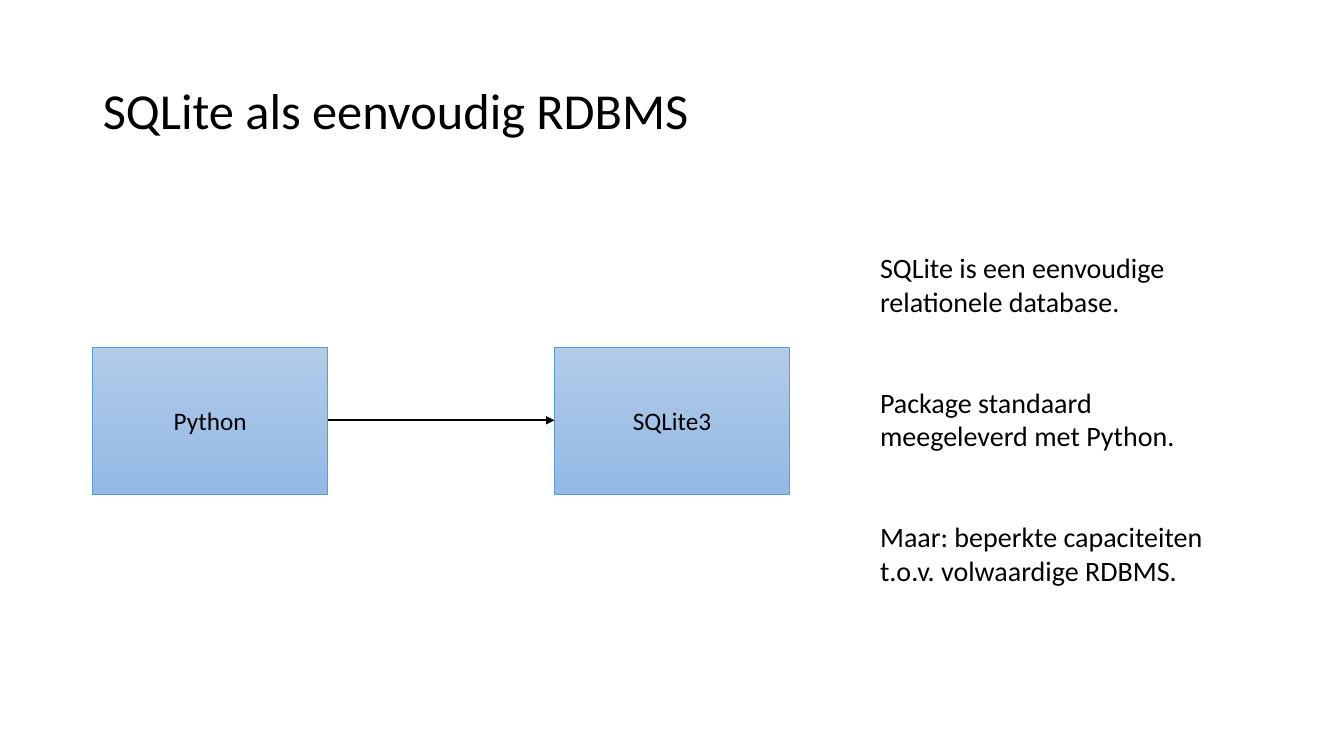
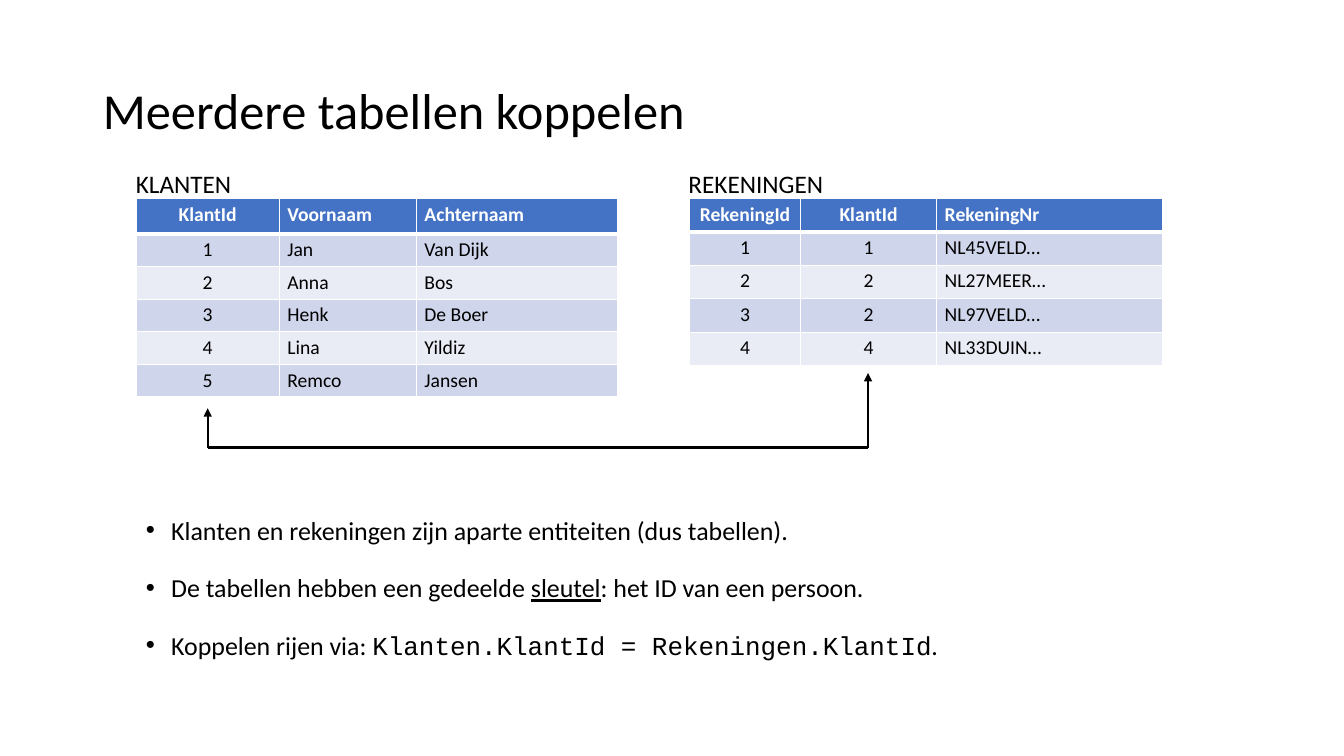
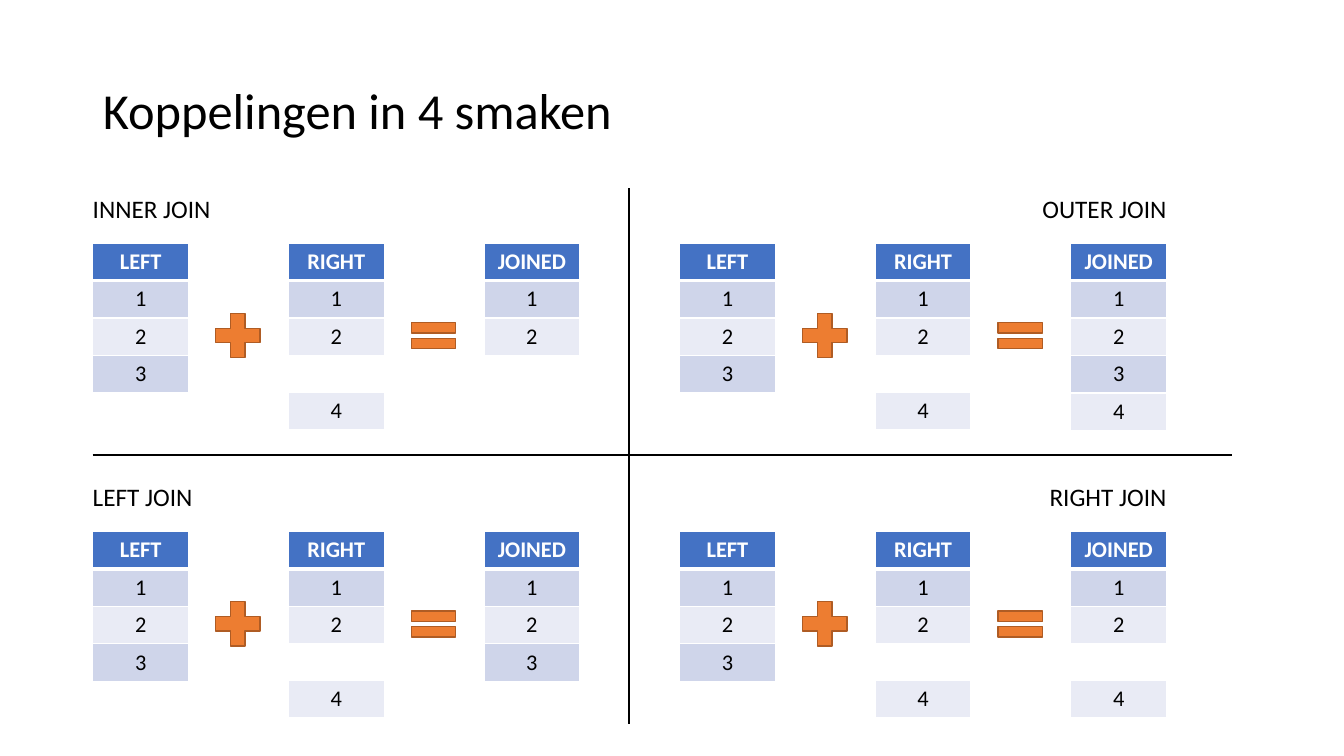
from lxml.etree import SubElement
from pptx import Presentation
from pptx.dml.color import RGBColor
from pptx.enum.shapes import MSO_CONNECTOR as Connector, MSO_SHAPE as Shape
from pptx.enum.text import MSO_ANCHOR as Anchor, MSO_AUTO_SIZE as AutoSize, PP_ALIGN as Align
from pptx.oxml import parse_xml
from pptx.oxml.ns import nsdecls, qn
from pptx.util import Inches, Pt

COLORS = {
    "text": "000000",
    "white": "FFFFFF",
    "header": "4472C4",
    "odd": "CFD5EA",
    "even": "E9EBF5",
    "box_top": "B1CBE9",
    "box_bottom": "93B9E4",
    "box_line": "5B9BD5",
    "operator": "ED7D31",
    "operator_line": "AF5C24",
}
BODY_FONT = "Calibri"
CODE_FONT = "Courier New"


def rgb(name):
    return RGBColor.from_string(COLORS[name])


def inches(*lengths):
    return [Inches(length) for length in lengths]


class Deck:
    def __init__(self):
        self.prs = Presentation()
        self.prs.slide_width, self.prs.slide_height = inches(13.33, 7.5)
        self.slide = None

    def style(self, paragraph, size, color="text", bold=False, align=Align.LEFT):
        paragraph.alignment = align
        font = paragraph.font
        font.name, font.size, font.bold = BODY_FONT, Pt(size), bold
        font.color.rgb = rgb(color)

    def new_slide(self, text):
        self.slide = self.prs.slides.add_slide(self.prs.slide_layouts[5])
        title = self.slide.shapes.title
        title.left, title.top, title.width, title.height = inches(0.92, 0.4, 11.5, 1.45)
        frame = title.text_frame
        frame.text = text
        frame.vertical_anchor = Anchor.MIDDLE
        frame.paragraphs[0].line_spacing = 0.9
        self.style(frame.paragraphs[0], 36)

    def text(self, box, paragraphs, size=18, align=Align.LEFT, gap=0, wrap=True,
             side_inset=0.1, bulleted=False, line_spacing=None):
        frame = self.slide.shapes.add_textbox(*inches(*box)).text_frame
        frame.word_wrap = wrap
        frame.auto_size = AutoSize.NONE if wrap else AutoSize.SHAPE_TO_FIT_TEXT
        frame.margin_left = frame.margin_right = Inches(side_inset)
        for index, content in enumerate(paragraphs):
            paragraph = frame.add_paragraph() if index else frame.paragraphs[0]
            if bulleted:
                self.bullet(paragraph)
            if line_spacing:
                paragraph.line_spacing = line_spacing
            if index:
                paragraph.space_before = Pt(gap)
            self.style(paragraph, size, align=align)
            for part, emphasis in [(content, None)] if isinstance(content, str) else content:
                run = paragraph.add_run()
                run.text = part
                if emphasis == "underline":
                    run.font.underline = True
                elif emphasis == "code":
                    run.font.name = CODE_FONT

    def bullet(self, paragraph):
        properties = paragraph._p.get_or_add_pPr()
        properties.set("marL", str(Inches(0.25)))
        properties.set("indent", str(Inches(-0.25)))
        SubElement(properties, qn("a:buFont")).set("typeface", "Arial")
        SubElement(properties, qn("a:buChar")).set("char", "•")

    def line(self, start, end, arrow=False):
        connector = self.slide.shapes.add_connector(
            Connector.STRAIGHT, *inches(*start, *end))
        connector.line.color.rgb = rgb("text")
        connector.line.width = Pt(1.5)
        if arrow:
            SubElement(connector.line._get_or_add_ln(), qn("a:tailEnd")).set("type", "triangle")
        SubElement(connector._element.spPr, qn("a:effectLst"))

    def shape(self, kind, box, line_color, line_width):
        shape = self.slide.shapes.add_shape(kind, *inches(*box))
        shape.shadow.inherit = False
        shape.line.color.rgb = rgb(line_color)
        shape.line.width = Pt(line_width)
        return shape

    def system(self, box, name):
        shape = self.shape(Shape.RECTANGLE, box, "box_line", 0.5)
        shape.fill.gradient()
        shape.fill.gradient_angle = 270
        for stop, color in zip(shape.fill.gradient_stops, ("box_top", "box_bottom")):
            stop.color.rgb = rgb(color)
        frame = shape.text_frame
        frame.text = name
        frame.vertical_anchor = Anchor.MIDDLE
        self.style(frame.paragraphs[0], 18, align=Align.CENTER)

    def operator(self, kind, left, middle, height):
        shape = self.shape(kind, (left, middle - height / 2, 0.6, height), "operator_line", 1)
        shape.fill.solid()
        shape.fill.fore_color.rgb = rgb("operator")

    def table(self, left, top, widths, height, header, rows, size, centered, insets):
        table = self.slide.shapes.add_table(
            len(rows), len(widths), *inches(left, top, sum(widths), height)).table
        table.horz_banding = False
        for column, width in zip(table.columns, widths):
            column.width = Inches(width)
        for r, values in enumerate(rows):
            table.rows[r].height = Inches((height - header) / (len(rows) - 1) if r else header)
            for c, value in enumerate(values):
                align = Align.CENTER if c < centered else Align.LEFT
                self.cell(table.cell(r, c), r, value, size, align, insets)

    def cell(self, cell, row, value, size, align, insets):
        side, edge = insets
        cell.margin_left = cell.margin_right = Inches(side)
        cell.margin_top = cell.margin_bottom = Inches(edge if value else 0)
        cell.text = value
        self.style(cell.text_frame.paragraphs[0], size,
                   "text" if row else "white", row == 0, align)
        if value:
            cell.fill.solid()
            cell.fill.fore_color.rgb = rgb(
                "header" if row == 0 else "odd" if row % 2 else "even")
        else:
            cell.fill.background()
        widths = {"L": 1, "R": 1, "T": 3 if row == 1 else 1, "B": 1 if row else 3}
        for index, (side, width) in enumerate(widths.items()):
            cell._tc.get_or_add_tcPr().insert(index, parse_xml(
                f'<a:ln{side} {nsdecls("a")} w="{Pt(width)}"><a:solidFill>'
                f'<a:srgbClr val="{COLORS["white"]}"/></a:solidFill></a:ln{side}>'))


def sqlite_slide(deck):
    deck.new_slide("SQLite als eenvoudig RDBMS")
    for left, name in ((0.92, "Python"), (5.5, "SQLite3")):
        deck.system((left, 3.45, 2.33, 1.45), name)
    deck.line((3.25, 4.17), (5.5, 4.17), arrow=True)
    deck.text((8.63, 2.44, 3.69, 3.47), [
        "SQLite is een eenvoudige relationele database.",
        "Package standaard meegeleverd met Python.",
        "Maar: beperkte capaciteiten t.o.v. volwaardige RDBMS.",
    ], size=20, gap=48)


def linked_tables_slide(deck):
    deck.new_slide("Meerdere tabellen koppelen")
    customers = [
        ("KlantId", "Voornaam", "Achternaam"),
        ("1", "Jan", "Van Dijk"),
        ("2", "Anna", "Bos"),
        ("3", "Henk", "De Boer"),
        ("4", "Lina", "Yildiz"),
        ("5", "Remco", "Jansen"),
    ]
    accounts = [
        ("RekeningId", "KlantId", "RekeningNr"),
        ("1", "1", "NL45VELD…"),
        ("2", "2", "NL27MEER…"),
        ("3", "2", "NL97VELD…"),
        ("4", "4", "NL33DUIN…"),
    ]
    deck.table(1.35, 1.97, (1.42, 1.36, 2), 1.97, 0.35, customers, 14, 1, (0.08, 0.04))
    deck.table(6.84, 1.97, (1.1, 1.35, 2.24), 1.66, 0.33, accounts, 14, 2, (0.08, 0.04))
    customer_key, account_key, link = 2.06, 8.61, 4.44
    deck.line((customer_key, link), (account_key, link))
    deck.line((account_key, link), (account_key, 3.7), arrow=True)
    deck.line((customer_key, link), (customer_key, 4.05), arrow=True)
    deck.text((1.25, 1.62, 1.16, 0.4), ["KLANTEN"], wrap=False)
    deck.text((6.73, 1.62, 1.55, 0.4), ["REKENINGEN"], wrap=False)
    deck.text((1.35, 4.93, 9.56, 1.79), [
        "Klanten en rekeningen zijn aparte entiteiten (dus tabellen).",
        [("De tabellen hebben een gedeelde ", None), ("sleutel", "underline"),
         (": het ID van een persoon.", None)],
        [("Koppelen rijen via: ", None),
         ("Klanten.KlantId = Rekeningen.KlantId", "code"), (".", None)],
    ], size=18.5, gap=10, bulleted=True, line_spacing=1.4)


def joins_slide(deck):
    deck.new_slide("Koppelingen in 4 smaken")
    deck.line((6.24, 1.87), (6.24, 7.18))
    deck.line((0.92, 4.51), (12.22, 4.51))
    left_keys, right_keys = {1, 2, 3}, {1, 2, 4}
    joins = [
        ("INNER JOIN", left_keys & right_keys),
        ("OUTER JOIN", left_keys | right_keys),
        ("LEFT JOIN", left_keys),
        ("RIGHT JOIN", right_keys),
    ]
    step = 1.94
    for index, (join, joined_keys) in enumerate(joins):
        row, column = divmod(index, 2)
        left, top = 0.92 + 5.82 * column, 2.41 + 2.86 * row
        operands = (("LEFT", left_keys), ("RIGHT", right_keys), ("JOINED", joined_keys))
        for position, (heading, keys) in enumerate(operands):
            rows = [(heading,)] + [(str(key) if key in keys else "",) for key in range(1, 5)]
            deck.table(left + step * position, top, (0.95,), 1.83, 0.37,
                       rows, 16, 1, (0.1, 0.05))
        deck.operator(Shape.MATH_PLUS, left + 1.14, top + 0.92, 0.6)
        deck.operator(Shape.MATH_EQUAL, left + 1.14 + step, top + 0.92, 0.44)
        deck.text((left, top - 0.54, 4.83, 0.4), [join], side_inset=0,
                  align=Align.RIGHT if column else Align.LEFT)


def main():
    deck = Deck()
    sqlite_slide(deck)
    linked_tables_slide(deck)
    joins_slide(deck)
    deck.prs.save("out.pptx")


if __name__ == "__main__":
    main()
